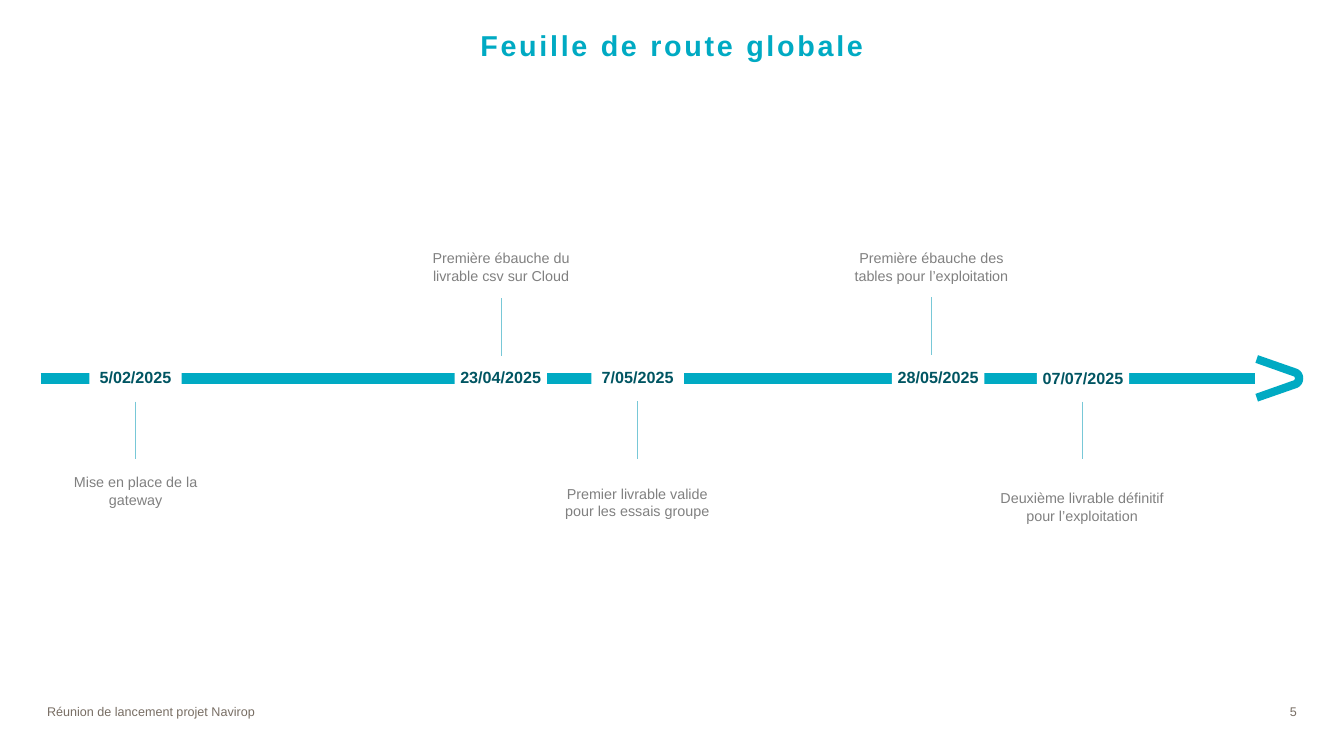
from dataclasses import dataclass
from lxml import etree
from pptx import Presentation
from pptx.dml.color import RGBColor
from pptx.enum.shapes import MSO_CONNECTOR, MSO_SHAPE
from pptx.enum.text import MSO_ANCHOR, PP_ALIGN
from pptx.oxml.ns import qn
from pptx.util import Cm, Pt


@dataclass(frozen=True)
class Theme:
    font: str = "Arial"
    background: RGBColor = RGBColor(0xFF, 0xFF, 0xFF)
    accent: RGBColor = RGBColor(0x00, 0xAA, 0xC3)
    date: RGBColor = RGBColor(0x00, 0x55, 0x62)
    tick: RGBColor = RGBColor(0x78, 0xC8, 0xD7)
    description: RGBColor = RGBColor(0x80, 0x80, 0x80)
    footer: RGBColor = RGBColor(0x78, 0x6E, 0x64)
    title_size: int = 32
    date_size: int = 18
    description_size: int = 16
    footer_size: int = 14


theme = Theme()
presentation = Presentation()
presentation.slide_width = Cm(52.81)
presentation.slide_height = Cm(29.69)
slide = presentation.slides.add_slide(presentation.slide_layouts[6])


def write_text(shape, text, size, color, alignment, anchor, bold=False):
    frame = shape.text_frame
    frame.word_wrap = True
    frame.vertical_anchor = anchor
    frame.text = text
    paragraph = frame.paragraphs[0]
    paragraph.alignment = alignment
    font = paragraph.runs[0].font
    font.name = theme.font
    font.size = Pt(size)
    font.color.rgb = color
    font.bold = bold
    return paragraph


def draw_line(start_x, start_y, end_x, end_y, color, width):
    connector = slide.shapes.add_connector(
        MSO_CONNECTOR.STRAIGHT, Cm(start_x), Cm(start_y), Cm(end_x), Cm(end_y)
    )
    connector.line.color.rgb = color
    connector.line.width = Pt(width)
    etree.SubElement(connector.element.spPr, qn("a:effectLst"))


axis_y = 14.86
draw_line(1.6, axis_y, 49.33, axis_y, theme.accent, 12)

outer_tail, outer_curve = (49.43, 0.91), [(50.95, 0.38), (51.1, 0.33), (51.21, 0.18), (51.21, 0)]
inner_tail, inner_curve = (49.33, 0.61), [(50.83, 0.08), (50.86, 0.07), (50.88, 0.04), (50.88, 0)]
edges = []
for tail, curve in ((outer_tail, outer_curve), (inner_tail, inner_curve)):
    edge = [tail]
    for step in range(9):
        t = step / 8
        weights = ((1 - t) ** 3, 3 * t * (1 - t) ** 2, 3 * t * t * (1 - t), t ** 3)
        edge.append(tuple(
            sum(weight * point[axis] for weight, point in zip(weights, curve))
            for axis in range(2)
        ))
    edges.append(edge)
outer, inner = edges
outline = [(x, -y) for x, y in outer] + outer[::-1] + inner + [(x, -y) for x, y in inner[::-1]]
points = [(Cm(x), Cm(axis_y + y)) for x, y in outline]
builder = slide.shapes.build_freeform(*points[0])
builder.add_line_segments(points[1:], close=True)
arrowhead = builder.convert_to_shape()
arrowhead.shadow.inherit = False
arrowhead.fill.solid()
arrowhead.fill.fore_color.rgb = theme.accent
arrowhead.line.fill.background()

title = slide.shapes.add_textbox(Cm(1.6), Cm(0.97), Cm(49.61), Cm(2.9))
title_paragraph = write_text(
    title, "Feuille de route globale", theme.title_size, theme.accent,
    PP_ALIGN.CENTER, MSO_ANCHOR.TOP, bold=True,
)
title_paragraph.runs[0].font._element.set("spc", "300")

milestones = [
    ("5/02/2025", "Mise en place de la gateway",
     3.51, 14.33, 5.33, 15.77, 18.47, MSO_ANCHOR.TOP),
    ("23/04/2025", "Première ébauche du livrable csv sur Cloud",
     17.86, 14.33, 19.69, 11.71, 8.94, MSO_ANCHOR.BOTTOM),
    ("7/05/2025", "Premier livrable valide pour les essais groupe",
     23.24, 14.33, 25.04, 15.75, 18.92, MSO_ANCHOR.TOP),
    ("28/05/2025", "Première ébauche des tables pour l’exploitation",
     35.05, 14.33, 36.6, 11.68, 8.94, MSO_ANCHOR.BOTTOM),
    ("07/07/2025", "Deuxième livrable définitif pour l’exploitation",
     40.74, 14.38, 42.52, 15.77, 18.36, MSO_ANCHOR.BOTTOM),
]
tick_length = 2.26
description_width = 7.14

for date, description, date_left, date_top, tick_x, tick_top, description_top, anchor in milestones:
    date_box = slide.shapes.add_shape(
        MSO_SHAPE.RECTANGLE, Cm(date_left), Cm(date_top), Cm(3.63), Cm(1.02)
    )
    date_box.shadow.inherit = False
    date_box.fill.solid()
    date_box.fill.fore_color.rgb = theme.background
    date_box.line.fill.background()
    frame = date_box.text_frame
    frame.margin_left = frame.margin_right = Cm(0.1)
    frame.margin_top = frame.margin_bottom = Cm(0)
    paragraph = write_text(
        date_box, date, theme.date_size, theme.date,
        PP_ALIGN.CENTER, MSO_ANCHOR.MIDDLE, bold=True,
    )
    paragraph.line_spacing = 0.9
    paragraph.space_before = Pt(15.6)

    draw_line(tick_x, tick_top, tick_x, tick_top + tick_length, theme.tick, 0.5)

    description_box = slide.shapes.add_textbox(
        Cm(tick_x - description_width / 2), Cm(description_top), Cm(description_width), Cm(2.34)
    )
    write_text(
        description_box, description, theme.description_size, theme.description,
        PP_ALIGN.CENTER, anchor,
    )

footers = [
    ("5", 47.96, 3.25, PP_ALIGN.RIGHT),
    ("Réunion de lancement projet Navirop", 1.6, 15.88, PP_ALIGN.LEFT),
]
for text, left, width, alignment in footers:
    footer = slide.shapes.add_textbox(Cm(left), Cm(27.15), Cm(width), Cm(1.57))
    write_text(footer, text, theme.footer_size, theme.footer, alignment, MSO_ANCHOR.MIDDLE)

presentation.save("out.pptx")
